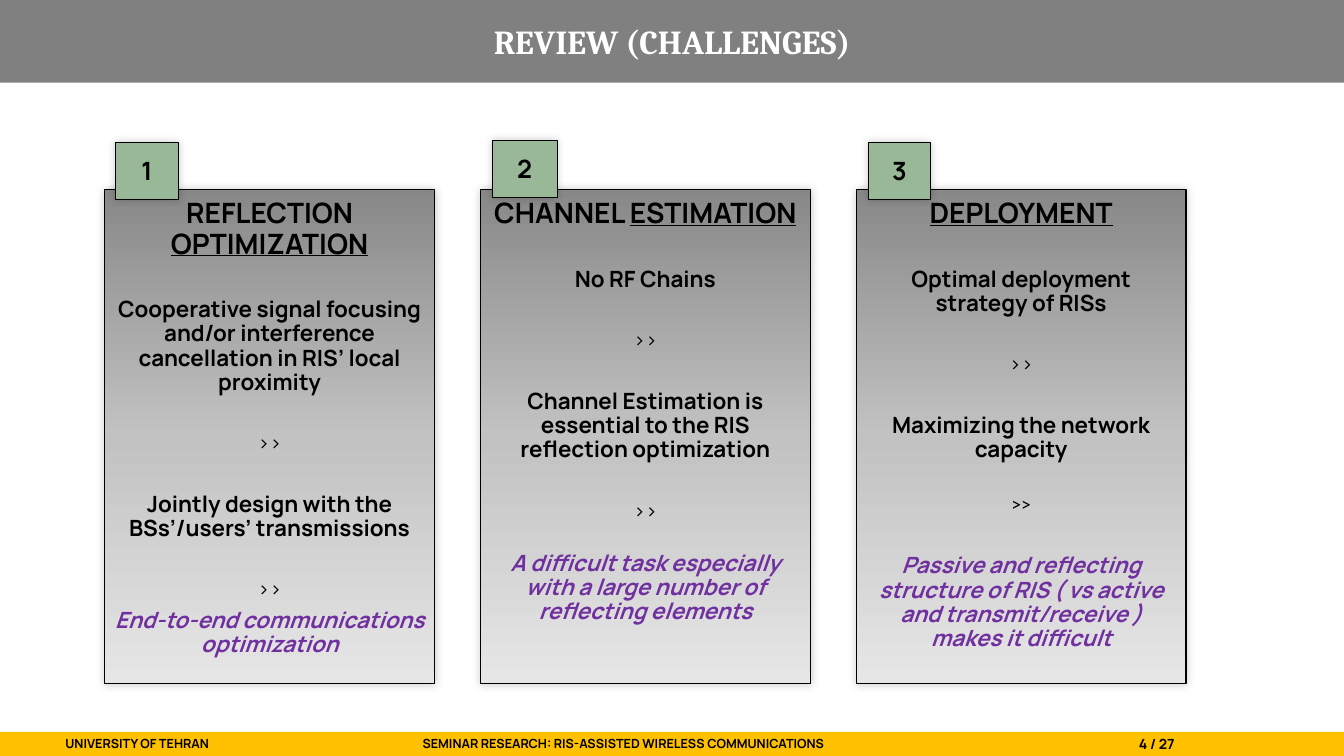
from copy import deepcopy
from lxml.etree import SubElement
from pptx import Presentation
from pptx.dml.color import RGBColor
from pptx.enum.shapes import MSO_SHAPE
from pptx.enum.text import MSO_ANCHOR, MSO_AUTO_SIZE, PP_ALIGN
from pptx.oxml.ns import qn
from pptx.util import Cm, Pt

TITLE = "REVIEW (CHALLENGES)"
BLACK, PURPLE = "000000", "7030A0"
FONT = "Manrope"
WIDE, NEAR, MID, LOW = 27.4, 6, 21, 23

HEAD = dict(size=20, bold=True)
HEAD_LINE = dict(size=20, bold=True, under=True)
BODY = dict(size=16, bold=True)
MARK = dict(size=14)
MARK_ALT = dict(size=14, font="Calibri")
GOAL = dict(size=16, bold=True, slant=True, color=PURPLE)

CARDS = [
    [
        (NEAR, [("REFLECTION ", HEAD), ("OPTIMIZATION", HEAD_LINE)]),
        (WIDE, [("Cooperative signal focusing and/or interference "
                 "cancellation in RIS’ local proximity", BODY)]),
        (WIDE, [(">>", MARK)]),
        (WIDE, [("Jointly design with the BSs’/users’ transmissions", BODY)]),
        (WIDE, [(">>", MARK)]),
        (NEAR, [("End-to-end communications optimization", GOAL)]),
    ],
    [
        (NEAR, [("CHANNEL ", HEAD), ("ESTIMATION", HEAD_LINE)]),
        (WIDE, [("No RF Chains", BODY)]),
        (WIDE, [(">>", MARK)]),
        (WIDE, [("Channel Estimation is essential to the RIS "
                 "reflection optimization", BODY)]),
        (WIDE, [(">>", MARK)]),
        (MID, [("A difficult task especially with a large number of "
                "reflecting elements", GOAL)]),
    ],
    [
        (NEAR, [("DEPLOYMENT", HEAD_LINE)]),
        (WIDE, [("Optimal deployment strategy of RISs", BODY)]),
        (WIDE, [(">>", MARK)]),
        (WIDE, [("Maximizing the network capacity", BODY)]),
        (LOW, [(">>", MARK_ALT)]),
        (WIDE, [("Passive and reflecting structure of RIS ( vs active and "
                 "transmit/receive ) makes it difficult", GOAL)]),
    ],
]
BADGES = [(0.28, 3.58, 1.57), (0.3, 3.53, 1.63), (0.3, 3.58, 1.57)]
FOOT = [
    (1.65, 5, "UNIVERSITY OF TEHRAN", 9),
    (10.65, 13, "SEMINAR RESEARCH: RIS-ASSISTED WIRELESS COMMUNICATIONS", 9),
    (28.7, 3, "4 / 27", 10),
]
SHADES = [(0, "898888"), (0.5, "C3C2C2"), (1, "E7E6E6")]
PAGE_W, PAGE_H = 33.87, 19.05
CARD_X, CARD_Y, CARD_W, CARD_H, STEP = 2.64, 4.78, 8.31, 12.45, 9.47
BAR_Y, BAR_H = 18.44, 0.61


def tint(code):
    return RGBColor.from_string(code)


def add_run(para, text, size, bold=False, under=False, slant=False,
            color=BLACK, font=FONT):
    run = para.add_run()
    run.text = text
    face = run.font
    face.name, face.size = font, Pt(size)
    face.bold, face.italic, face.underline = bold, slant, under
    face.color.rgb = tint(color)


def set_frame(frame, inset, anchor):
    frame.word_wrap = True
    frame.auto_size = MSO_AUTO_SIZE.NONE
    frame.vertical_anchor = anchor
    frame.margin_left = frame.margin_right = Cm(inset)
    frame.margin_top = frame.margin_bottom = Cm(inset)


def add_box(slide, x, y, w, h, color=None):
    box = slide.shapes.add_shape(MSO_SHAPE.RECTANGLE, Cm(x), Cm(y), Cm(w), Cm(h))
    if color:
        box.fill.solid()
        box.fill.fore_color.rgb = tint(color)
    box.line.fill.background()
    box.shadow.inherit = False
    return box


def add_edge(box):
    box.line.color.rgb = tint(BLACK)
    box.line.width = Pt(0.75)
    glow = SubElement(box._element.spPr.find(qn("a:effectLst")), qn("a:outerShdw"),
                      blurRad=str(Pt(6)), dist="0", dir="18900000", rotWithShape="0")
    hue = SubElement(glow, qn("a:srgbClr"), val=BLACK)
    SubElement(hue, qn("a:alpha"), val="20000")


def add_shade(box):
    box.fill.gradient()
    stops = box._element.spPr.find(".//" + qn("a:gsLst"))
    stops.append(deepcopy(stops[0]))
    box.fill.gradient_angle = 270
    for stop, (spot, color) in zip(box.fill.gradient_stops, SHADES):
        stop.position = spot
        stop.color.rgb = tint(color)


def add_card(slide, x, lines):
    card = add_box(slide, x, CARD_Y, CARD_W, CARD_H)
    add_shade(card)
    add_edge(card)
    frame = card.text_frame
    set_frame(frame, 0.25, MSO_ANCHOR.TOP)
    for i, (gap, runs) in enumerate(lines):
        para = frame.add_paragraph() if i else frame.paragraphs[0]
        para.alignment = PP_ALIGN.CENTER
        para.line_spacing = 0.9
        para.space_before = Pt(gap)
        for text, style in runs:
            add_run(para, text, **style)


def add_badge(slide, x, y, w, text):
    badge = add_box(slide, x, y, w, 1.45, "99B898")
    add_edge(badge)
    set_frame(badge.text_frame, 0.25, MSO_ANCHOR.MIDDLE)
    para = badge.text_frame.paragraphs[0]
    para.alignment = PP_ALIGN.CENTER
    add_run(para, text, 18, bold=True)


def add_title(slide):
    title = slide.shapes.title
    title.left, title.top = Cm(0), Cm(0)
    title.width, title.height = Cm(PAGE_W), Cm(2.08)
    title.fill.solid()
    title.fill.fore_color.rgb = tint("808080")
    set_frame(title.text_frame, 0.13, MSO_ANCHOR.MIDDLE)
    para = title.text_frame.paragraphs[0]
    para.alignment = PP_ALIGN.CENTER
    add_run(para, TITLE, 24, bold=True, color="FFFFFF", font="Cambria")


def add_foot(slide):
    for x, w, text, size in FOOT:
        note = slide.shapes.add_textbox(Cm(x), Cm(BAR_Y), Cm(w), Cm(BAR_H))
        set_frame(note.text_frame, 0, MSO_ANCHOR.MIDDLE)
        add_run(note.text_frame.paragraphs[0], text, size, bold=True)


def main():
    deck = Presentation()
    deck.slide_width, deck.slide_height = Cm(PAGE_W), Cm(PAGE_H)
    slide = deck.slides.add_slide(deck.slide_layouts[5])
    add_title(slide)
    add_box(slide, 0, BAR_Y, PAGE_W, BAR_H, "FFC000")
    for i, (lines, (shift, y, w)) in enumerate(zip(CARDS, BADGES)):
        x = CARD_X + i * STEP
        add_card(slide, x, lines)
        add_badge(slide, x + shift, y, w, str(i + 1))
    add_foot(slide)
    deck.save("out.pptx")


if __name__ == "__main__":
    main()
